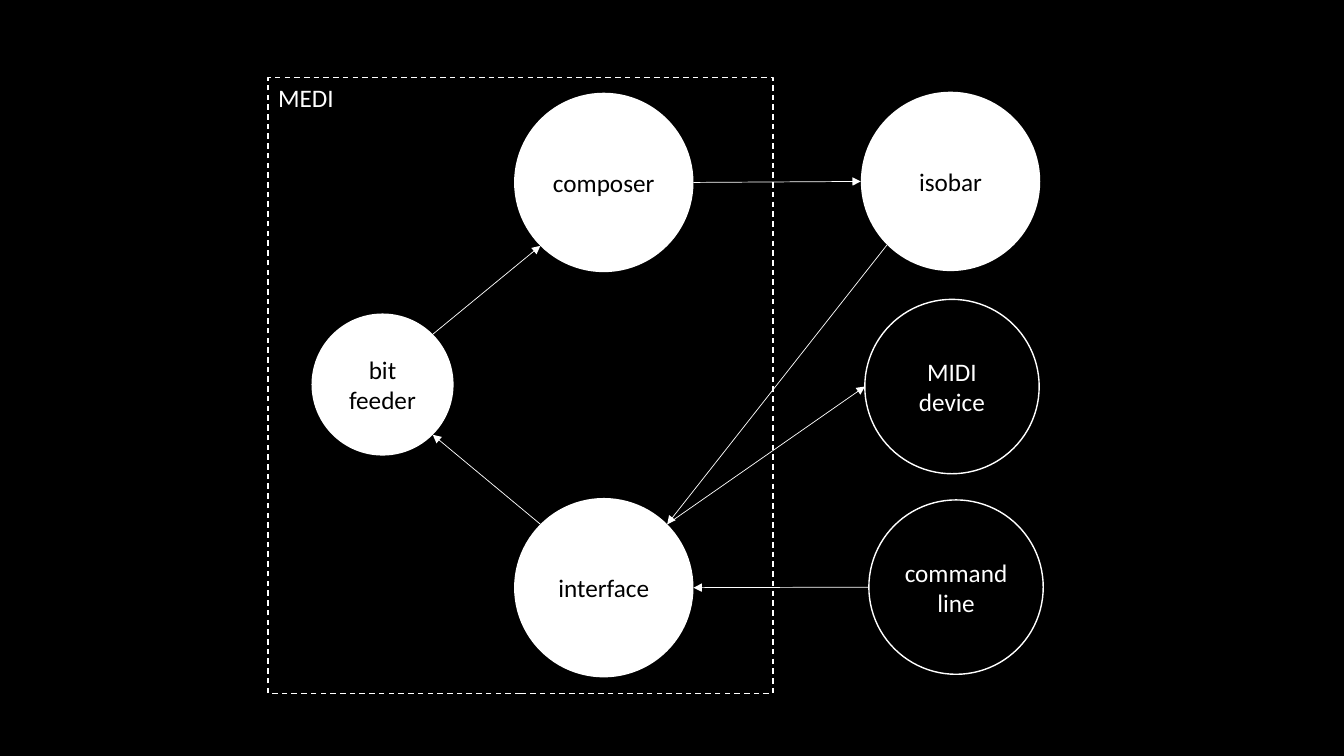
from dataclasses import dataclass
from math import cos, pi, sin

from lxml import etree
from pptx import Presentation
from pptx.dml.color import RGBColor
from pptx.enum import dml, shapes, text
from pptx.oxml import ns
from pptx.util import Inches, Pt


@dataclass(frozen=True)
class Theme:
    black: RGBColor = RGBColor(0, 0, 0)
    white: RGBColor = RGBColor(255, 255, 255)
    font: str = "Calibri"
    text_size: int = 18
    outline: float = 1
    arrow: float = 0.5


THEME = Theme()
CIRCLES = {
    "bit feeder": (3.09, 3.11, 1.41, True),
    "composer": (5.1, 0.92, 1.78, True),
    "isobar": (8.54, 0.91, 1.78, True),
    "interface": (5.1, 4.94, 1.78, True),
    "command line": (8.62, 4.96, 1.73, False),
    "MIDI device": (8.58, 2.97, 1.73, False),
}
FRAME = ("MEDI", 2.66, 0.77, 5.01, 6.11)
SITES = ["top", "top left", "left", "bottom left",
         "bottom", "bottom right", "right", "top right"]
ARROWS = [
    ("interface", "top left", "bit feeder", "bottom right"),
    ("bit feeder", "top right", "composer", "bottom left"),
    ("composer", "right", "isobar", "left"),
    ("isobar", "bottom left", "interface", "top right"),
    ("command line", "left", "interface", "right"),
    ("interface", "top right", "MIDI device", "left"),
]


def add_label(slide, kind, label, box, fill, color, align, anchor):
    shape = slide.shapes.add_shape(kind, *map(Inches, box))
    shape.shadow.inherit = False
    if fill is None:
        shape.fill.background()
        shape.line.color.rgb = THEME.white
        shape.line.width = Pt(THEME.outline)
    else:
        shape.fill.solid()
        shape.fill.fore_color.rgb = fill
        shape.line.fill.background()
    frame = shape.text_frame
    frame.text = label
    frame.word_wrap = True
    frame.vertical_anchor = anchor
    paragraph = frame.paragraphs[0]
    paragraph.alignment = align
    font = paragraph.runs[0].font
    font.name, font.size, font.color.rgb = THEME.font, Pt(THEME.text_size), color
    return shape


def add_circle(slide, label, left, top, size, filled):
    return add_label(slide, shapes.MSO_SHAPE.OVAL, label, (left, top, size, size),
                     THEME.white if filled else None,
                     THEME.black if filled else THEME.white,
                     text.PP_ALIGN.CENTER, text.MSO_ANCHOR.MIDDLE)


def site_point(circle, site):
    angle = SITES.index(site) * pi / 4
    radius = circle.width / 2
    return (round(circle.left + radius * (1 - sin(angle))),
            round(circle.top + radius * (1 - cos(angle))))


def add_arrow(slide, source, source_site, target, target_site):
    connector = slide.shapes.add_connector(
        shapes.MSO_CONNECTOR.STRAIGHT,
        *site_point(source, source_site), *site_point(target, target_site))
    connector.line.color.rgb = THEME.white
    connector.line.width = Pt(THEME.arrow)
    element = connector._element
    joints = element.find(".//" + ns.qn("p:cNvCxnSpPr"))
    for tag, circle, site in (("a:stCxn", source, source_site),
                              ("a:endCxn", target, target_site)):
        etree.SubElement(joints, ns.qn(tag), id=str(circle.shape_id),
                         idx=str(SITES.index(site)))
    properties = element.spPr
    etree.SubElement(properties.find(ns.qn("a:ln")), ns.qn("a:tailEnd"), type="triangle")
    etree.SubElement(properties, ns.qn("a:effectLst"))


def main():
    presentation = Presentation()
    presentation.slide_width = Inches(40 / 3)
    presentation.slide_height = Inches(7.5)
    slide = presentation.slides.add_slide(presentation.slide_layouts[6])
    slide.background.fill.solid()
    slide.background.fill.fore_color.rgb = THEME.black

    label, *box = FRAME
    frame = add_label(slide, shapes.MSO_SHAPE.RECTANGLE, label, box, None, THEME.white,
                      text.PP_ALIGN.LEFT, text.MSO_ANCHOR.TOP)
    frame.line.dash_style = dml.MSO_LINE.DASH
    circles = {label: add_circle(slide, label, *place)
               for label, place in CIRCLES.items()}
    for source, source_site, target, target_site in ARROWS:
        add_arrow(slide, circles[source], source_site, circles[target], target_site)

    presentation.save("out.pptx")


if __name__ == "__main__":
    main()
